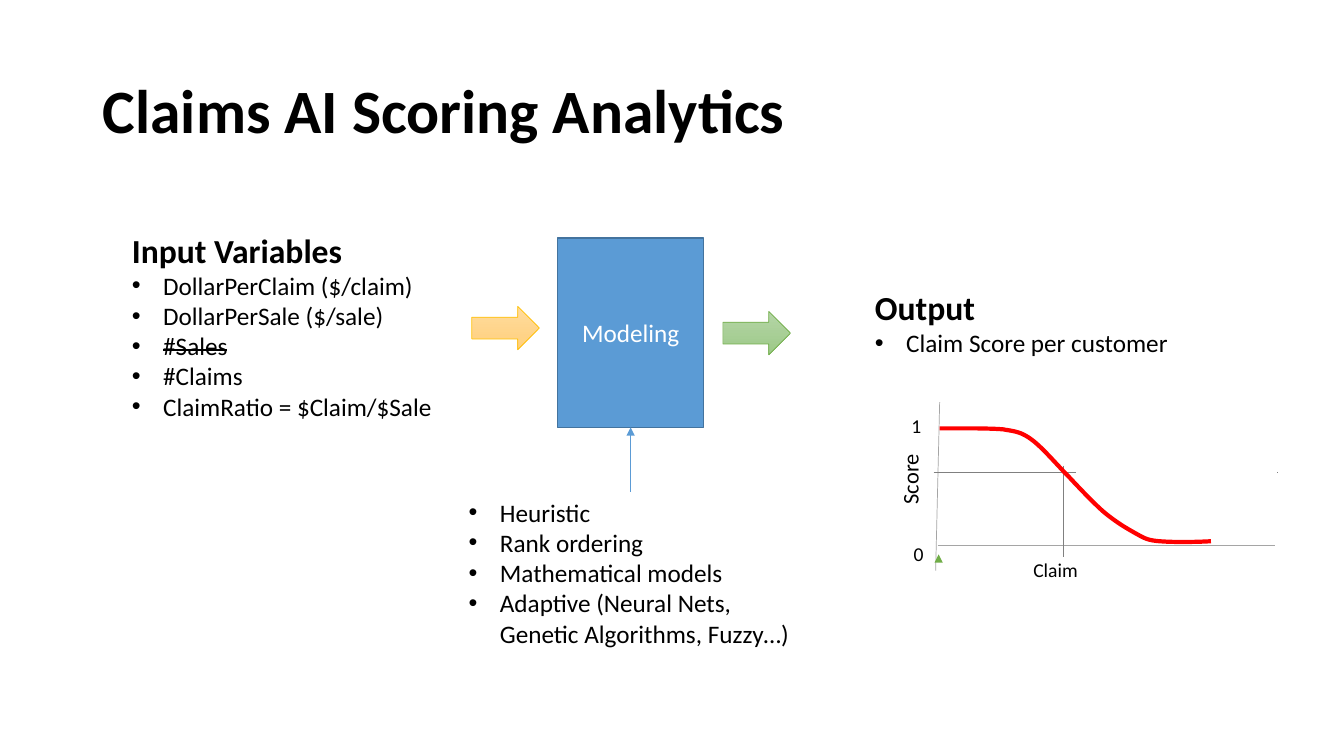
from dataclasses import dataclass
from pptx import Presentation
from pptx import util as u
from pptx.dml.color import RGBColor
from pptx.enum import shapes, text
from pptx.oxml.ns import qn
from lxml import etree


@dataclass(frozen=True)
class Theme:
    font: str = "Calibri"
    title: int = 44
    head: int = 24
    body: int = 18
    axis: int = 16
    tick: int = 14
    ink: str = "000000"
    white: str = "FFFFFF"
    blue: str = "5B9BD5"
    edge: str = "43739E"
    gold: str = "FFC000"
    green: str = "70AD47"
    light: str = "A5A5A5"
    grey: str = "808080"
    red: str = "FF0000"


T = Theme()
TITLE = "Claims AI Scoring Analytics"
LISTS = [
    ((1.21, 2.23, 3.21, 2.02), "Input Variables",
     ["DollarPerClaim ($/claim)", "DollarPerSale ($/sale)", "#Sales",
      "#Claims", "ClaimRatio = $Claim/$Sale"], False),
    ((8.58, 2.8, 3.14, 0.81), "Output", ["Claim Score per customer"], False),
    ((4.55, 4.88, 3.42, 1.62), None,
     ["Heuristic", "Rank ordering", "Mathematical models",
      "Adaptive (Neural Nets, Genetic Algorithms, Fuzzy…)"], True),
]
STRUCK = {"#Sales"}
MODEL = ("Modeling", (5.53, 2.36, 1.45, 1.88))
ARROWS = [
    ((4.68, 3.04, 0.67, 0.43), ("FFDB9E", "FFD07C"), T.gold),
    ((7.17, 3.09, 0.67, 0.43), ("B5D5A7", "9CC987"), T.green),
]
LINES = [
    ((9.32, 3.99), (9.28, 5.66), T.light, 0.5, False),
    ((9.3, 5.41), (12.65, 5.41), T.light, 0.5, False),
    ((9.31, 5.53), (9.31, 5.5), T.green, 1, True),
    ((10.55, 4.62), (10.55, 5.53), T.grey, 0.5, False),
    ((12.67, 4.69), (12.68, 4.69), T.grey, 0.5, False),
    ((9.26, 4.69), (10.67, 4.69), T.grey, 0.5, False),
]
LABELS = [
    ("0", (9, 5.33, 0.16, 0.34), T.tick, 0, text.PP_ALIGN.LEFT),
    ("1", (8.94, 4.06, 0.27, 0.34), T.tick, 0, text.PP_ALIGN.LEFT),
    ("Score", (8.55, 4.57, 0.95, 0.37), T.axis, 270, text.PP_ALIGN.CENTER),
    ("Claim", (10.15, 5.49, 0.83, 0.34), T.tick, 0, text.PP_ALIGN.LEFT),
]
START = (12.01, 5.37)
CURVE = [
    ((11.82, 5.38), (11.63, 5.38), (11.5, 5.37)),
    ((11.38, 5.36), (11.35, 5.34), (11.26, 5.29)),
    ((11.17, 5.24), (11.07, 5.18), (10.96, 5.09)),
    ((10.85, 5), (10.61, 4.74), (10.61, 4.74)),
    ((10.49, 4.62), (10.34, 4.44), (10.23, 4.36)),
    ((10.12, 4.28), (10.06, 4.28), (9.95, 4.26)),
    ((9.83, 4.25), (9.64, 4.25), (9.54, 4.25)),
    ((9.43, 4.25), (9.38, 4.25), (9.32, 4.25)),
]
STEPS = 12


def rgb(code):
    return RGBColor.from_string(code)


def inch(vals):
    return [u.Inches(v) for v in vals]


def style(para, size, color=T.ink, bold=False):
    font = para.font
    font.name, font.size, font.bold = T.font, u.Pt(size), bold
    font.color.rgb = rgb(color)


def stroke(shape, color, width):
    shape.line.color.rgb = rgb(color)
    shape.line.width = u.Pt(width)


def bullet(para):
    props = para._p.get_or_add_pPr()
    props.set("marL", str(u.Inches(0.31)))
    props.set("indent", str(-u.Inches(0.31)))
    etree.SubElement(props, qn("a:buFont")).set("typeface", "Arial")
    etree.SubElement(props, qn("a:buChar")).set("char", "•")


def frame(slide, spot, wrap=True):
    box = slide.shapes.add_textbox(*inch(spot))
    box.text_frame.word_wrap = wrap
    box.text_frame.auto_size = text.MSO_AUTO_SIZE.SHAPE_TO_FIT_TEXT
    return box


def listing(slide, spot, head, items, wrap):
    body = frame(slide, spot, wrap).text_frame
    rows = ([head] if head else []) + items
    for i, row in enumerate(rows):
        para = body.paragraphs[0] if i == 0 else body.add_paragraph()
        run = para.add_run()
        run.text = row
        if row == head:
            style(para, T.head, bold=True)
            continue
        bullet(para)
        style(para, T.body)
        if row in STRUCK:
            run._r.get_or_add_rPr().set("strike", "sngStrike")


def label(slide, words, spot, size, turn, align):
    box = frame(slide, spot)
    box.rotation = turn
    para = box.text_frame.paragraphs[0]
    para.text, para.alignment = words, align
    style(para, size)


def block(slide, kind, spot):
    shape = slide.shapes.add_shape(kind, *inch(spot))
    shape.shadow.inherit = False
    return shape


def link(slide, start, end, color, width, arrow):
    line = slide.shapes.add_connector(
        shapes.MSO_CONNECTOR.STRAIGHT, *inch(start + end))
    stroke(line, color, width)
    if arrow:
        tail = etree.SubElement(line.line._get_or_add_ln(), qn("a:tailEnd"))
        tail.set("type", "triangle")
    etree.SubElement(line._element.spPr, qn("a:effectLst"))
    return line


def trace(start, curve):
    for one, two, end in curve:
        for k in range(1, STEPS + 1):
            t = k / STEPS
            s = 1 - t
            yield inch(s**3 * a + 3 * s * s * t * b + 3 * s * t * t * c + t**3 * d
                       for a, b, c, d in zip(start, one, two, end))
        start = end


def main():
    deck = Presentation()
    deck.slide_width, deck.slide_height = inch((13.33, 7.5))
    slide = deck.slides.add_slide(deck.slide_layouts[5])

    title = slide.shapes.title
    title.left, title.top, title.width, title.height = inch((0.92, 0.4, 11.5, 1.45))
    title.text_frame.vertical_anchor = text.MSO_ANCHOR.MIDDLE
    para = title.text_frame.paragraphs[0]
    para.text, para.alignment, para.line_spacing = TITLE, text.PP_ALIGN.LEFT, 0.9
    style(para, T.title, bold=True)

    for entry in LISTS:
        listing(slide, *entry)

    name, spot = MODEL
    model = block(slide, shapes.MSO_SHAPE.RECTANGLE, spot)
    model.fill.solid()
    model.fill.fore_color.rgb = rgb(T.blue)
    stroke(model, T.edge, 1)
    model.text_frame.vertical_anchor = text.MSO_ANCHOR.MIDDLE
    para = model.text_frame.paragraphs[0]
    para.text, para.alignment = name, text.PP_ALIGN.CENTER
    style(para, T.body, T.white)

    for place, tones, edge in ARROWS:
        arrow = block(slide, shapes.MSO_SHAPE.RIGHT_ARROW, place)
        arrow.fill.gradient()
        arrow.fill.gradient_angle = 270
        for stop, tone in zip(arrow.fill.gradient_stops, tones):
            stop.color.rgb = rgb(tone)
        stroke(arrow, edge, 0.5)

    for entry in LINES:
        link(slide, *entry)
    for entry in LABELS:
        label(slide, *entry)

    pen = slide.shapes.build_freeform(*inch(START))
    pen.add_line_segments(list(trace(START, CURVE)), close=False)
    curve = pen.convert_to_shape()
    curve.shadow.inherit = False
    curve.fill.background()
    stroke(curve, T.red, 3)

    left, top, width, height = spot
    mid = left + width / 2
    feed = link(slide, (mid, 4.88), (mid, top + height), T.blue, 0.5, True)
    feed.end_connect(model, 2)

    deck.save("out.pptx")


if __name__ == "__main__":
    main()
